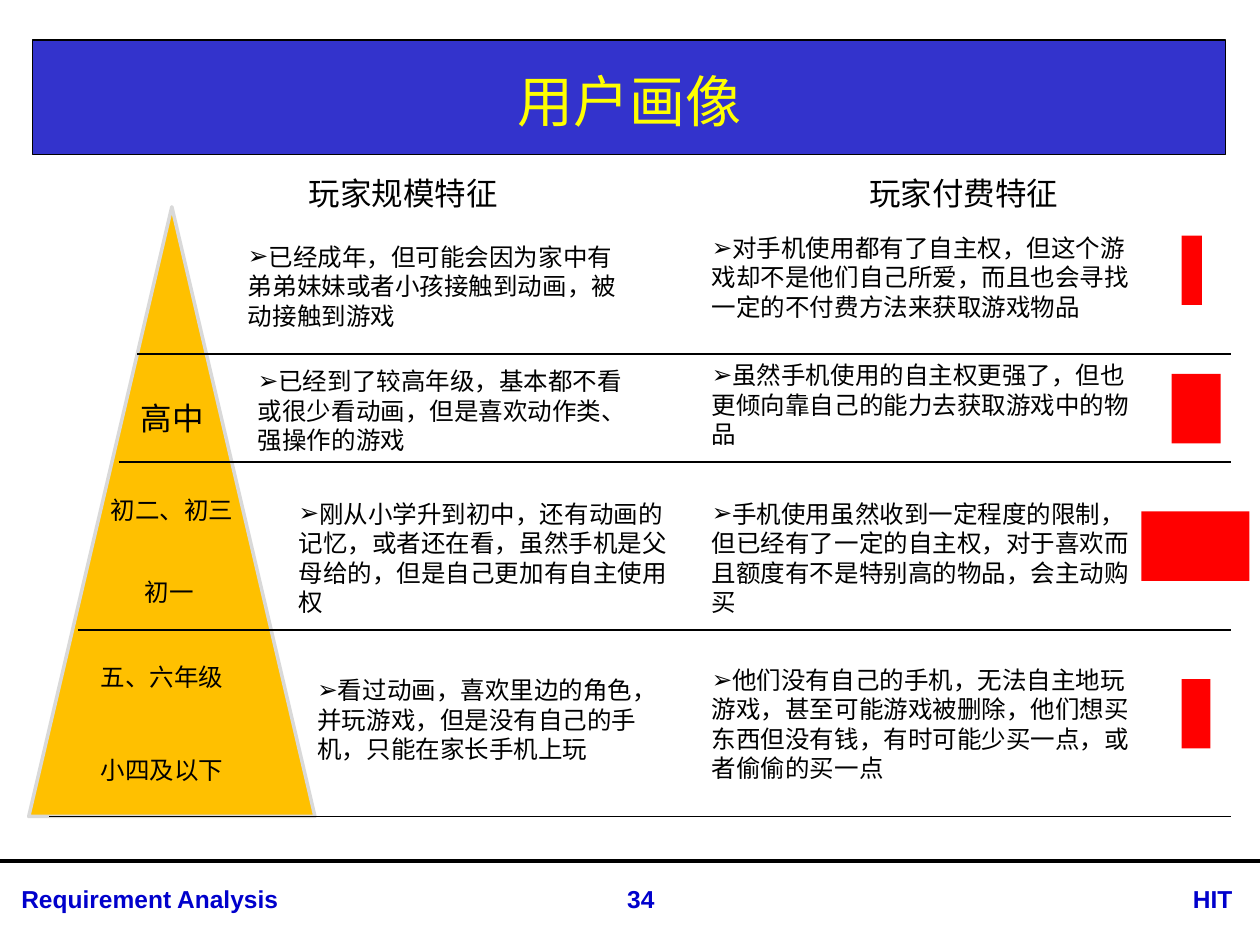
from lxml.etree import SubElement
from pptx import Presentation
from pptx.dml.color import RGBColor
from pptx.enum.shapes import MSO_CONNECTOR as CONN, MSO_SHAPE as SHAPE
from pptx.enum.text import MSO_ANCHOR as ANCHOR, MSO_AUTO_SIZE as FIT, PP_ALIGN as ALIGN
from pptx.oxml.ns import qn
from pptx.util import Cm, Pt

BLACK = RGBColor(0, 0, 0)
BLUE = RGBColor(0x33, 0x33, 0xCC)
NAVY = RGBColor(0, 0, 0xCC)
YELLOW = RGBColor(0xFF, 0xFF, 0)
GOLD = RGBColor(0xFF, 0xC0, 0)
GREY = RGBColor(0xD9, 0xD9, 0xD9)
RED = RGBColor(0xFF, 0, 0)
CJK, LATIN = "Noto Sans CJK SC", "Arial"

PLAYER_NOTES = [
    (0, 1.37, 8.13, 2.06, "已经成年，但可能会因为家中有弟弟妹妹或者小孩接触到动画，被动接触到游戏"),
    (0.2, 3.88, 8.13, 2.06, "已经到了较高年级，基本都不看或很少看动画，但是喜欢动作类、强操作的游戏"),
    (1.02, 6.55, 8.13, 2.64, "刚从小学升到初中，还有动画的记忆，或者还在看，虽然手机是父母给的，但是自己更加有自主使用权"),
    (1.4, 10.11, 7.34, 2.06, "看过动画，喜欢里边的角色，并玩游戏，但是没有自己的手机，只能在家长手机上玩"),
]
PAYMENT_NOTES = [
    (0, 1.19, 9.12, 2.06, "对手机使用都有了自主权，但这个游戏却不是他们自己所爱，而且也会寻找一定的不付费方法来获取游戏物品"),
    (0, 3.76, 9.12, 2.06, "虽然手机使用的自主权更强了，但也更倾向靠自己的能力去获取游戏中的物品"),
    (0, 6.55, 9.12, 2.64, "手机使用虽然收到一定程度的限制，但已经有了一定的自主权，对于喜欢而且额度有不是特别高的物品，会主动购买"),
    (0, 9.9, 9.12, 2.64, "他们没有自己的手机，无法自主地玩游戏，甚至可能游戏被删除，他们想买东西但没有钱，有时可能少买一点，或者偷偷的买一点"),
]
GRADES = [
    (2.01, 3.75, 1.8, 1.02, 18, "高中"),
    (1.4, 5.69, 3, 0.86, 14, "初二、初三"),
    (2.09, 7.34, 1.5, 0.86, 14, "初一"),
    (1.2, 9.06, 3, 0.86, 14, "五、六年级"),
    (1.2, 10.92, 3, 0.86, 14, "小四及以下"),
]
DIVIDERS = [(0.41, 12.29), (0.99, 8.53), (1.81, 5.15), (2.19, 2.97)]
BARS = [(0.81, 0, 0.41), (0.61, 2.79, 0.99), (0, 5.56, 2.18), (0.81, 8.94, 0.58)]


def add_text(s, box, text, size=14, font=CJK, color=BLACK, bold=False,
             align=ALIGN.LEFT, wrap=True, bullet=False):
    """Add a one-paragraph text box and return its text frame."""
    tf = s.shapes.add_textbox(*map(Cm, box)).text_frame
    tf.word_wrap = wrap
    tf.auto_size = FIT.SHAPE_TO_FIT_TEXT
    p = tf.paragraphs[0]
    p.alignment = align
    if bullet:
        pPr = p._p.get_or_add_pPr()
        SubElement(pPr, qn("a:buFont")).set("typeface", LATIN)
        SubElement(pPr, qn("a:buChar")).set("char", "➢")
    r = p.add_run()
    r.text = text
    r.font.size = Pt(size)
    r.font.bold = bold
    r.font.name = font
    r.font.color.rgb = color
    SubElement(r._r.get_or_add_rPr(), qn("a:ea")).set("typeface", font)
    return tf


def add_block(s, kind, box, fill, line=None, width=0):
    """Add a filled preset shape with an optional outline."""
    sp = s.shapes.add_shape(kind, *map(Cm, box))
    sp.shadow.inherit = False
    sp.fill.solid()
    sp.fill.fore_color.rgb = fill
    if line is None:
        sp.line.fill.background()
    else:
        sp.line.color.rgb = line
        sp.line.width = Pt(width)


def add_rule(s, x1, x2, y, width):
    """Add a horizontal black line."""
    c = s.shapes.add_connector(CONN.STRAIGHT, Cm(x1), Cm(y), Cm(x2), Cm(y))
    c.line.color.rgb = BLACK
    c.line.width = Pt(width)
    SubElement(c._element.spPr, qn("a:effectLst"))


def add_banner(s, x, y, w, h):
    """Place the title on its blue band."""
    add_block(s, SHAPE.RECTANGLE, (x, y, w, h), BLUE, BLACK, 0.75)
    tf = add_text(s, (x, y + 0.1, w, h - 0.1), "用户画像", 32,
                  color=YELLOW, align=ALIGN.CENTER)
    tf.auto_size = FIT.NONE
    tf.vertical_anchor = ANCHOR.MIDDLE


def add_pyramid(s, x, y, w, h, right):
    """Place the pyramid, its dividers up to the right edge and its grades."""
    add_block(s, SHAPE.ISOSCELES_TRIANGLE, (x, y, w, h), GOLD, GREY, 2)
    for dx, dy in DIVIDERS:
        add_rule(s, x + dx, right, y + dy, 1)
    for dx, dy, gw, gh, size, grade in GRADES:
        add_text(s, (x + dx, y + dy, gw, gh), grade, size, wrap=False)


def add_column(s, x, y, heading, indent, notes):
    """Place a heading with its bulleted notes below."""
    add_text(s, (x + indent, y, 4.37, 1.02), heading, 18, wrap=False)
    for dx, dy, w, h, note in notes:
        add_text(s, (x + dx, y + dy, w, h), note, bullet=True)


def add_bars(s, x, y):
    """Place the red bars whose widths show the spending of each level."""
    for dx, dy, w in BARS:
        add_block(s, SHAPE.RECTANGLE, (x + dx, y + dy, w, 1.4), RED)


def add_footer(s, x, y, w):
    """Place the footer rule with course, page number and school."""
    add_rule(s, x, x + w, y, 2.25)
    for dx, tw, text, align in [
        (0.18, 7.39, "Requirement Analysis", ALIGN.LEFT),
        (23.8, 1.75, "HIT", ALIGN.LEFT),
        (11.61, 2.62, "34", ALIGN.CENTER),
    ]:
        add_text(s, (x + dx, y + 0.35, tw, 0.86), text, font=LATIN,
                 color=NAVY, bold=True, align=align)


def main():
    """Build and save the slide."""
    prs = Presentation()
    prs.slide_width, prs.slide_height = Cm(25.4), Cm(19.05)
    s = prs.slides.add_slide(prs.slide_layouts[6])
    add_footer(s, 0, 17.35, 25.4)
    add_banner(s, 0.66, 0.81, 24.05, 2.31)
    add_pyramid(s, 0.58, 4.17, 5.77, 12.29, 24.82)
    add_column(s, 4.75, 3.38, "玩家规模特征", 1.22, PLAYER_NOTES)
    add_column(s, 14.1, 3.38, "玩家付费特征", 3.17, PAYMENT_NOTES)
    add_bars(s, 23.01, 4.75)
    prs.save("out.pptx")


if __name__ == "__main__":
    main()
